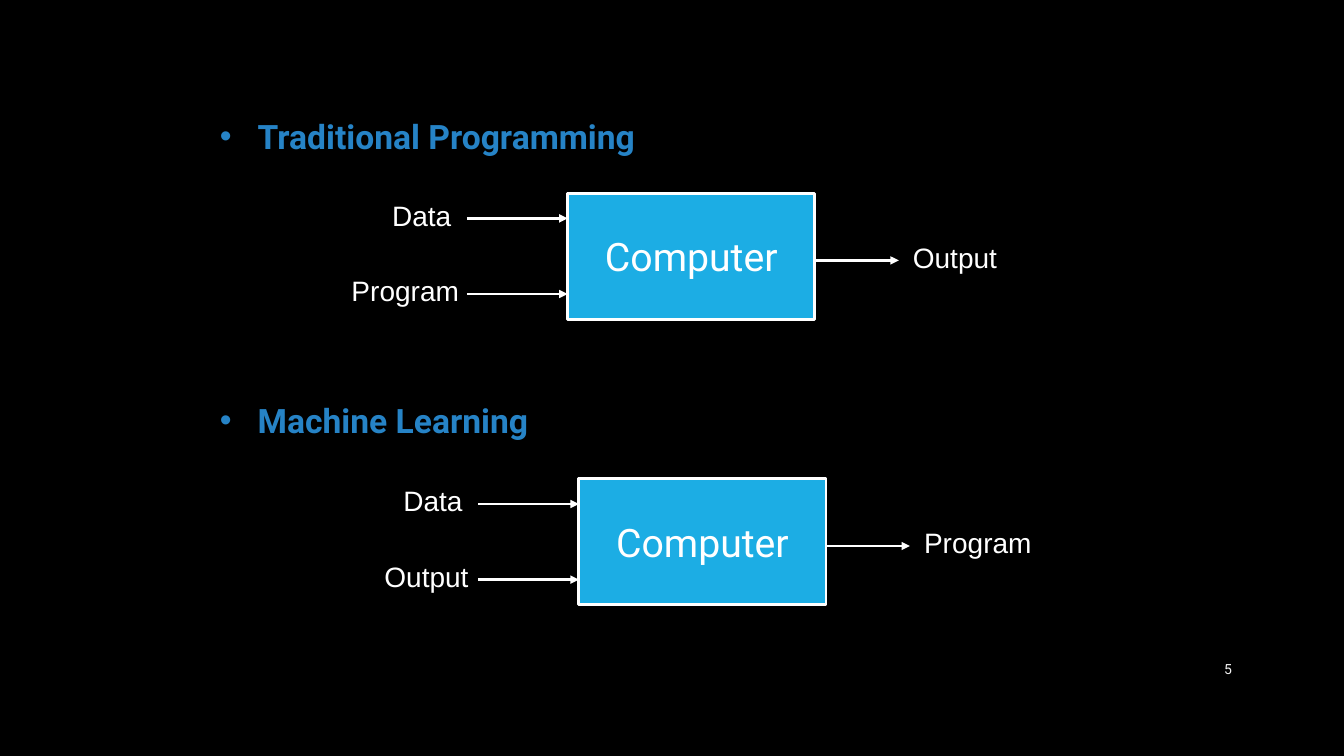
from pptx import Presentation
from pptx.dml.color import RGBColor
from pptx.enum.shapes import MSO_CONNECTOR, MSO_SHAPE
from pptx.enum.text import MSO_ANCHOR, MSO_AUTO_SIZE, PP_ALIGN
from pptx.oxml.ns import qn
from pptx.util import Pt
from lxml.etree import SubElement

BLACK = RGBColor(0x00, 0x00, 0x00)
WHITE = RGBColor(0xFF, 0xFF, 0xFF)
PALE_GREY = RGBColor(0xF2, 0xF2, 0xF2)
HEADING_BLUE = RGBColor(0x26, 0x83, 0xC6)
BOX_BLUE = RGBColor(0x1C, 0xAD, 0xE4)

COMPUTER_WIDTH, COMPUTER_HEIGHT = 176.5, 90
LABEL_WIDTHS = {"Data": 57, "Program": 92, "Output": 75}


def add_run(paragraph, text, font_name, size, color, bold=False):
    run = paragraph.add_run()
    run.text = text
    font = run.font
    font.name, font.size, font.bold = font_name, Pt(size), bold
    font.color.rgb = color


def add_headings(slide, left, top, width, height, headings, gap):
    """Place bulleted headings in one text box, with gap points between them."""
    box = slide.shapes.add_textbox(Pt(left), Pt(top), Pt(width), Pt(height))
    frame = box.text_frame
    frame.word_wrap = True
    for index, heading in enumerate(headings):
        paragraph = frame.add_paragraph() if index else frame.paragraphs[0]
        properties = paragraph._p.get_or_add_pPr()
        properties.set("marL", str(Pt(27)))
        properties.set("indent", str(Pt(-27)))
        SubElement(properties, qn("a:buFont"), typeface="Arial")
        SubElement(properties, qn("a:buChar"), char="•")
        if index:
            paragraph.space_before = Pt(gap)
        add_run(paragraph, heading, "Roboto", 24, HEADING_BLUE, bold=True)


def add_label(slide, left, top, text):
    box = slide.shapes.add_textbox(Pt(left), Pt(top), Pt(LABEL_WIDTHS[text]), Pt(31.5))
    frame = box.text_frame
    frame.word_wrap = False
    frame.auto_size = MSO_AUTO_SIZE.SHAPE_TO_FIT_TEXT
    add_run(frame.paragraphs[0], text, "Arial", 20, WHITE)


def add_arrow(slide, left, y, length):
    arrow = slide.shapes.add_connector(
        MSO_CONNECTOR.STRAIGHT, Pt(left), Pt(y), Pt(left + length), Pt(y))
    arrow.line.color.rgb = WHITE
    arrow.line.width = Pt(2)
    SubElement(arrow.line._get_or_add_ln(), qn("a:tailEnd"), type="triangle")
    SubElement(arrow._element.spPr, qn("a:effectLst"))


def add_computer(slide, left, top):
    shape = slide.shapes.add_shape(
        MSO_SHAPE.RECTANGLE, Pt(left), Pt(top), Pt(COMPUTER_WIDTH), Pt(COMPUTER_HEIGHT))
    shape.shadow.inherit = False
    shape.fill.solid()
    shape.fill.fore_color.rgb = BOX_BLUE
    shape.line.color.rgb = WHITE
    shape.line.width = Pt(2)
    frame = shape.text_frame
    frame.word_wrap = False
    frame.vertical_anchor = MSO_ANCHOR.MIDDLE
    frame.paragraphs[0].alignment = PP_ALIGN.CENTER
    add_run(frame.paragraphs[0], "Computer", "Roboto", 28, WHITE)


def add_flow(slide, left, top, inputs, result):
    """Place a computer box at left, top with its inputs before and result after.

    Each input is a label and its distance to the left of the box.
    """
    add_computer(slide, left, top)
    for row, (text, distance) in enumerate(inputs):
        row_top = top + 54 * row
        add_arrow(slide, left - 72, row_top + 18, 72)
        add_label(slide, left - distance, row_top, text)
    right = left + COMPUTER_WIDTH
    add_arrow(slide, right, top + 48, 60)
    add_label(slide, right + 63, top + 30, result)


def add_slide_number(slide, left, top, width, height, number):
    box = slide.shapes.add_textbox(Pt(left), Pt(top), Pt(width), Pt(height))
    frame = box.text_frame
    frame.word_wrap = True
    frame.vertical_anchor = MSO_ANCHOR.MIDDLE
    frame.paragraphs[0].alignment = PP_ALIGN.RIGHT
    add_run(frame.paragraphs[0], number, "Roboto", 10, PALE_GREY)


def main():
    presentation = Presentation()
    presentation.slide_width, presentation.slide_height = Pt(960), Pt(540)
    slide = presentation.slides.add_slide(presentation.slide_layouts[6])
    slide.background.fill.solid()
    slide.background.fill.fore_color.rgb = BLACK

    add_headings(slide, 150, 79, 654, 408,
                 ["Traditional Programming", "Machine Learning"], gap=174)
    add_flow(slide, 405.5, 138, [("Data", 132.5), ("Program", 161.5)], "Output")
    add_flow(slide, 413.5, 342, [("Data", 132.5), ("Output", 146)], "Program")
    add_slide_number(slide, 828, 463, 59, 29, "5")
    presentation.save("out.pptx")


if __name__ == "__main__":
    main()
